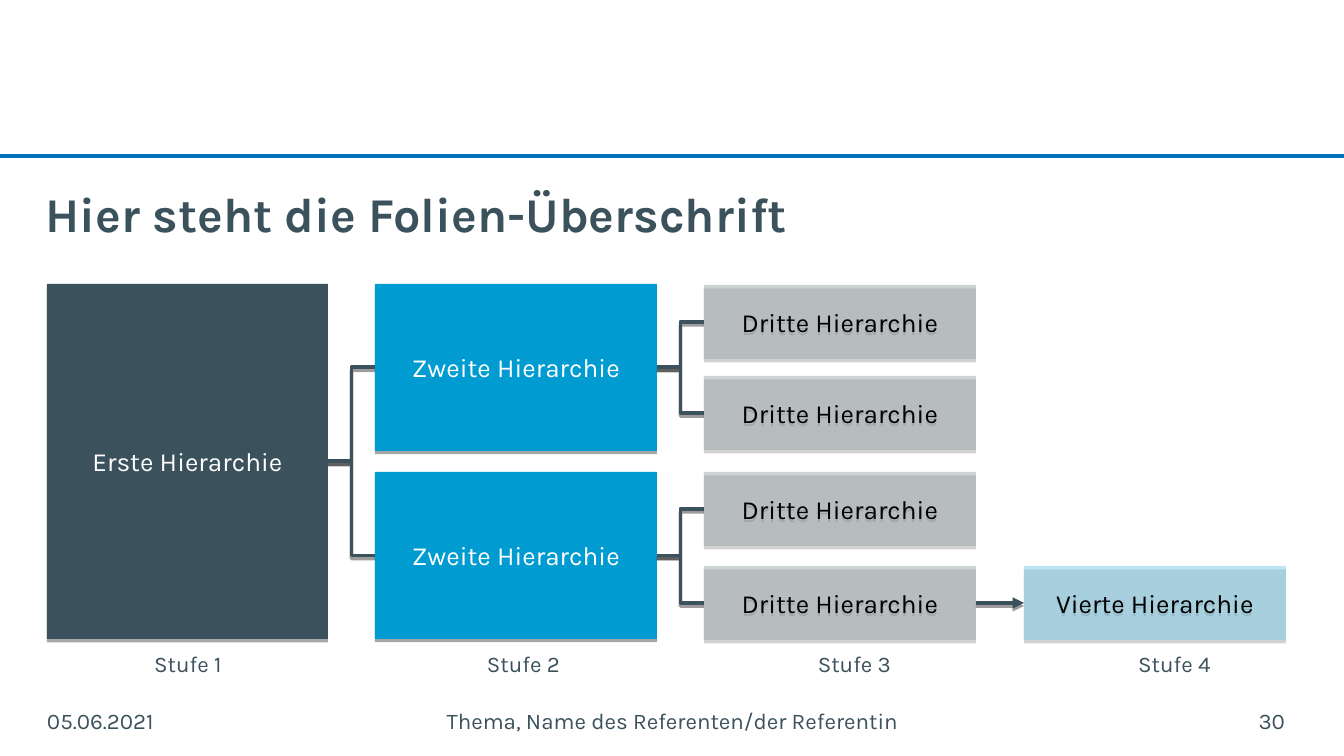
from lxml import etree
from pptx import Presentation
from pptx.dml.color import RGBColor
from pptx.enum.shapes import MSO_CONNECTOR, MSO_SHAPE
from pptx.enum.text import MSO_ANCHOR, PP_ALIGN
from pptx.oxml.ns import qn
from pptx.util import Emu, Pt

PX = 914400 / 134.4
FONT = "Karla"
SLATE, BLUE, GREY, PALE_BLUE = "3B515B", "009CD1", "9DA8AD", "7FCDE8"
WHITE, BLACK, RULE_BLUE = "FFFFFF", "000000", "0271BB"

LEFT, CENTER, RIGHT = PP_ALIGN.LEFT, PP_ALIGN.CENTER, PP_ALIGN.RIGHT
TOP, MIDDLE = MSO_ANCHOR.TOP, MSO_ANCHOR.MIDDLE
RECTANGLE = MSO_SHAPE.RECTANGLE
STRAIGHT, ELBOW = MSO_CONNECTOR.STRAIGHT, MSO_CONNECTOR.ELBOW
LEFT_SITE, RIGHT_SITE = 1, 3


def px(value):
    return Emu(round(value * PX))


def color(hex_code):
    return RGBColor.from_string(hex_code)


def add_effects(shape, distance=0, opacity=0):
    """Give the shape a hard downward shadow, or none if distance is 0."""
    effects = etree.SubElement(shape._element.spPr, qn("a:effectLst"))
    if distance:
        shadow = etree.SubElement(effects, qn("a:outerShdw"), blurRad="0",
                                  dist=str(Pt(distance)), dir="5400000",
                                  algn="ctr", rotWithShape="0")
        black = etree.SubElement(shadow, qn("a:srgbClr"), val=BLACK)
        etree.SubElement(black, qn("a:alpha"), val=str(opacity * 1000))


def write(shape, text, size, text_color=SLATE, align=CENTER, anchor=MIDDLE, bold=False):
    frame = shape.text_frame
    frame.word_wrap = True
    frame.vertical_anchor = anchor
    frame.text = text
    paragraph = frame.paragraphs[0]
    paragraph.alignment = align
    font = paragraph.font
    font.name, font.size, font.bold = FONT, Pt(size), bold
    font.color.rgb = color(text_color)
    return frame


def add_title(slide, text):
    title = slide.shapes.title
    title.left, title.top, title.width, title.height = map(px, (32, 177, 1254, 74))
    write(title, text, 26, align=LEFT, anchor=TOP, bold=True)


def add_label(slide, text, x, y, width, align=CENTER, anchor=TOP):
    label = slide.shapes.add_textbox(px(x), px(y), px(width), px(40))
    return write(label, text, 12, align=align, anchor=anchor)


def add_box(slide, text, bounds, fill, text_color=WHITE, opacity=100):
    box = slide.shapes.add_shape(RECTANGLE, *map(px, bounds))
    box.fill.solid()
    box.fill.fore_color.rgb = color(fill)
    if opacity < 100:
        fill_color = box._element.spPr.find(qn("a:solidFill")).find(qn("a:srgbClr"))
        etree.SubElement(fill_color, qn("a:alpha"), val=str(opacity * 1000))
    box.line.fill.background()
    add_effects(box, 1.8, 35)
    write(box, text, 14, text_color)
    return box


def add_line(slide, kind, line_color=SLATE, end=(0, 0)):
    line = slide.shapes.add_connector(kind, 0, 0, *map(px, end))
    line.line.color.rgb = color(line_color)
    line.line.width = Pt(2)
    return line


def link(slide, parent, child, arrow=False):
    """Join the right side of parent to the left side of child."""
    connector = add_line(slide, STRAIGHT if arrow else ELBOW)
    connector.begin_connect(parent, RIGHT_SITE)
    connector.end_connect(child, LEFT_SITE)
    if arrow:
        etree.SubElement(connector.line._get_or_add_ln(), qn("a:tailEnd"), type="triangle")
    add_effects(connector, 1.6, 38)


def add_hierarchy(slide):
    first = add_box(slide, "Erste Hierarchie", (47, 284, 281, 355), SLATE)
    seconds = [add_box(slide, "Zweite Hierarchie", (375, y, 282, 167), BLUE)
               for y in (284, 472)]
    thirds = [add_box(slide, "Dritte Hierarchie", (704, y, 272, 74), GREY, BLACK, 50)
              for y in (285, 376, 472, 566)]
    fourth = add_box(slide, "Vierte Hierarchie", (1024, 566, 262, 74), PALE_BLUE, BLACK, 50)

    for second in seconds:
        link(slide, first, second)
    for index, third in enumerate(thirds):
        link(slide, seconds[index // 2], third)
    link(slide, thirds[-1], fourth, arrow=True)

    columns = ((59, 258), (410, 227), (741, 227), (1059, 231))
    for level, (x, width) in enumerate(columns, start=1):
        add_label(slide, f"Stufe {level}", x, 644, width)


def add_footer(slide):
    y = 701
    date = add_label(slide, "05.06.2021", 47, y, 313, LEFT, MIDDLE)
    date.margin_left = 0
    add_label(slide, "Thema, Name des Referenten/der Referentin", 418, y, 509, CENTER, MIDDLE)
    number = add_label(slide, "30", 972, y, 313, RIGHT, MIDDLE)
    number.margin_right = 0


def main():
    presentation = Presentation()
    presentation.slide_width, presentation.slide_height = px(1344), px(756)
    slide = presentation.slides.add_slide(presentation.slide_layouts[5])

    rule = add_line(slide, STRAIGHT, RULE_BLUE, end=(1344, 0))
    rule.top = px(156)
    add_effects(rule)
    add_title(slide, "Hier steht die Folien-Überschrift")
    add_hierarchy(slide)
    add_footer(slide)
    presentation.save("out.pptx")


if __name__ == "__main__":
    main()
